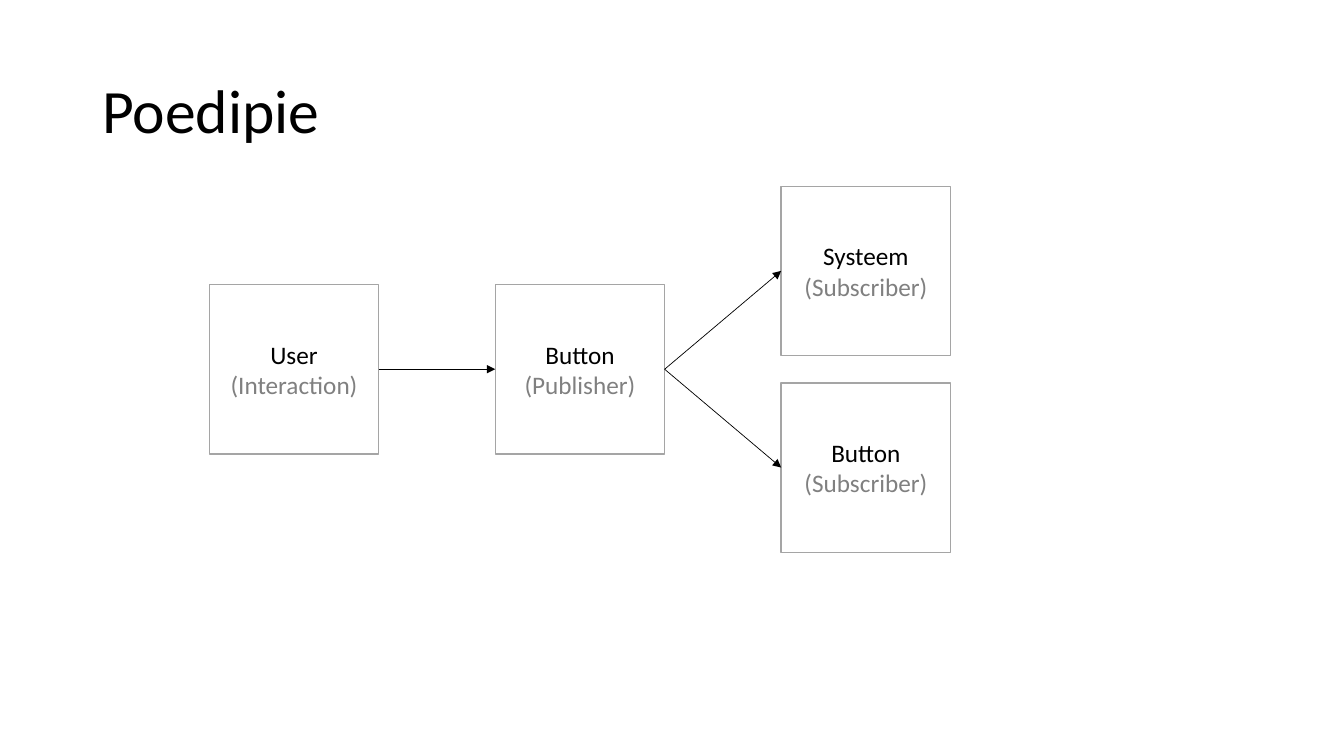
from dataclasses import dataclass

import lxml.etree
import pptx
import pptx.dml.color
import pptx.enum.shapes
import pptx.enum.text
import pptx.oxml.ns
import pptx.util

Pt = pptx.util.Pt
RGB = pptx.dml.color.RGBColor
LEFT_SITE, RIGHT_SITE = 1, 3  # connection sites of a rectangle


@dataclass(frozen=True)
class Theme:
    font: str = "Calibri"
    ink: RGB = RGB(0x00, 0x00, 0x00)
    muted: RGB = RGB(0x80, 0x80, 0x80)
    paper: RGB = RGB(0xFF, 0xFF, 0xFF)
    border: RGB = RGB(0xA5, 0xA5, 0xA5)
    title_size: float = 44
    label_size: float = 18
    border_width: float = 1
    arrow_width: float = 0.5


THEME = Theme()


@dataclass(frozen=True)
class Box:
    """A region of the slide, in points."""
    left: float
    top: float
    width: float
    height: float

    def lengths(self):
        return Pt(self.left), Pt(self.top), Pt(self.width), Pt(self.height)


def add_run(paragraph, wording, size, color):
    run = paragraph.add_run()
    run.text = wording
    run.font.name = THEME.font
    run.font.size = Pt(size)
    run.font.color.rgb = color


def add_title(slide, box, wording):
    frame = slide.shapes.add_textbox(*box.lengths()).text_frame
    frame.word_wrap = True
    frame.vertical_anchor = pptx.enum.text.MSO_ANCHOR.MIDDLE
    heading = frame.paragraphs[0]
    heading.line_spacing = 0.9
    add_run(heading, wording, THEME.title_size, THEME.ink)


def add_actor(slide, box, name, role):
    actor = slide.shapes.add_shape(
        pptx.enum.shapes.MSO_SHAPE.RECTANGLE, *box.lengths())
    actor.shadow.inherit = False
    actor.fill.solid()
    actor.fill.fore_color.rgb = THEME.paper
    actor.line.color.rgb = THEME.border
    actor.line.width = Pt(THEME.border_width)

    frame = actor.text_frame
    frame.word_wrap = True
    frame.vertical_anchor = pptx.enum.text.MSO_ANCHOR.MIDDLE
    name_line, role_line = frame.paragraphs[0], frame.add_paragraph()
    for line, wording, color in ((name_line, name, THEME.ink),
                                 (role_line, f"({role})", THEME.muted)):
        line.alignment = pptx.enum.text.PP_ALIGN.CENTER
        add_run(line, wording, THEME.label_size, color)
    return actor


def add_arrow(slide, source, target):
    arrow = slide.shapes.add_connector(
        pptx.enum.shapes.MSO_CONNECTOR.STRAIGHT, 0, 0, 0, 0)
    arrow.begin_connect(source, RIGHT_SITE)
    arrow.end_connect(target, LEFT_SITE)
    arrow.line.color.rgb = THEME.ink
    arrow.line.width = Pt(THEME.arrow_width)

    # Arrowhead at the target, and no shadow
    qn = pptx.oxml.ns.qn
    properties = arrow.line._get_or_add_ln()
    lxml.etree.SubElement(properties, qn("a:tailEnd"), type="triangle")
    lxml.etree.SubElement(arrow._element.spPr, qn("a:effectLst"))


def add_event_flow(slide, box):
    side = 121
    column_step = (box.width - side) / 2
    bottom = box.height - side
    middle = bottom / 2

    def actor_at(column, offset, name, role):
        place = Box(box.left + column * column_step, box.top + offset, side, side)
        return add_actor(slide, place, name, role)

    # Actors from left to right
    user = actor_at(0, middle, "User", "Interaction")
    publisher = actor_at(1, middle, "Button", "Publisher")
    subscribers = [actor_at(2, 0, "Systeem", "Subscriber"),
                   actor_at(2, bottom, "Button", "Subscriber")]

    # Events passed on
    add_arrow(slide, user, publisher)
    for subscriber in subscribers:
        add_arrow(slide, publisher, subscriber)


def main():
    deck = pptx.Presentation()
    deck.slide_width, deck.slide_height = Pt(960), Pt(540)
    slide = deck.slides.add_slide(deck.slide_layouts[6])
    add_title(slide, Box(66, 28.75, 828, 104.4), "Poedipie")
    add_event_flow(slide, Box(149.5, 133, 529.5, 261.5))
    deck.save("out.pptx")


if __name__ == "__main__":
    main()
